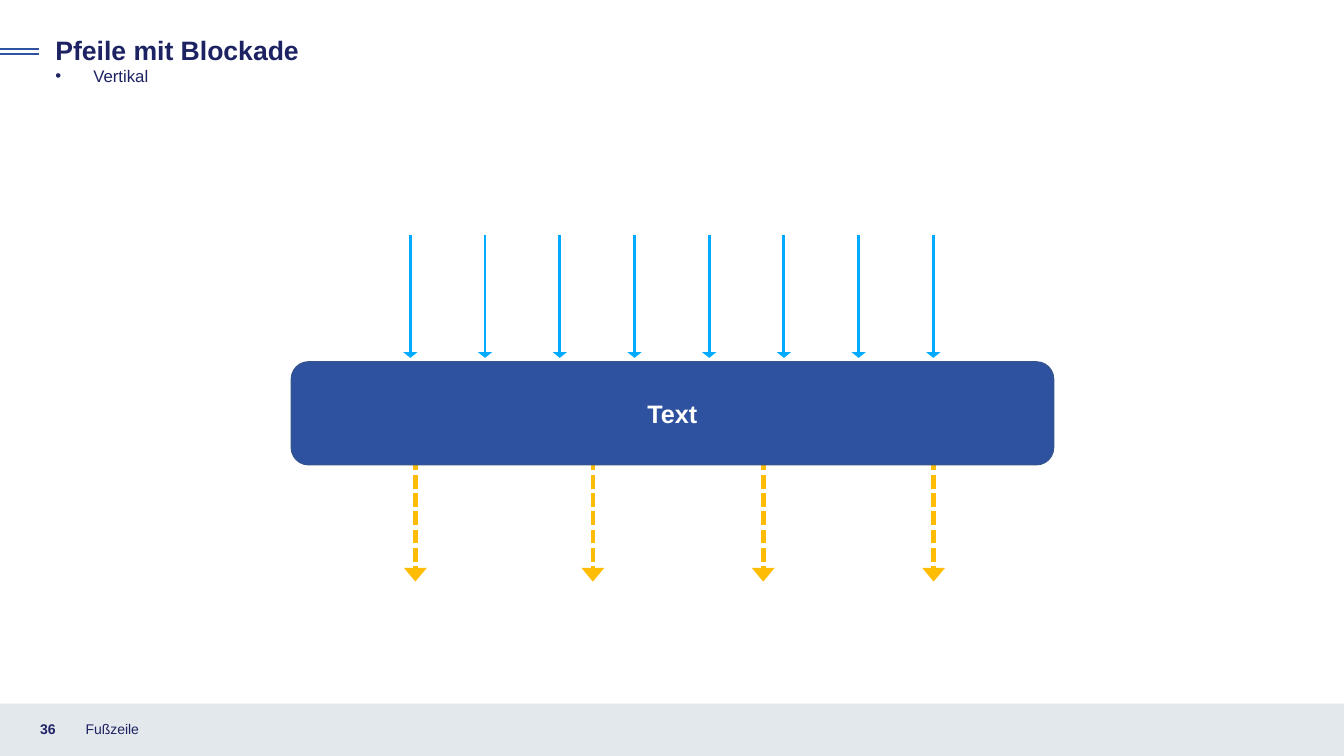
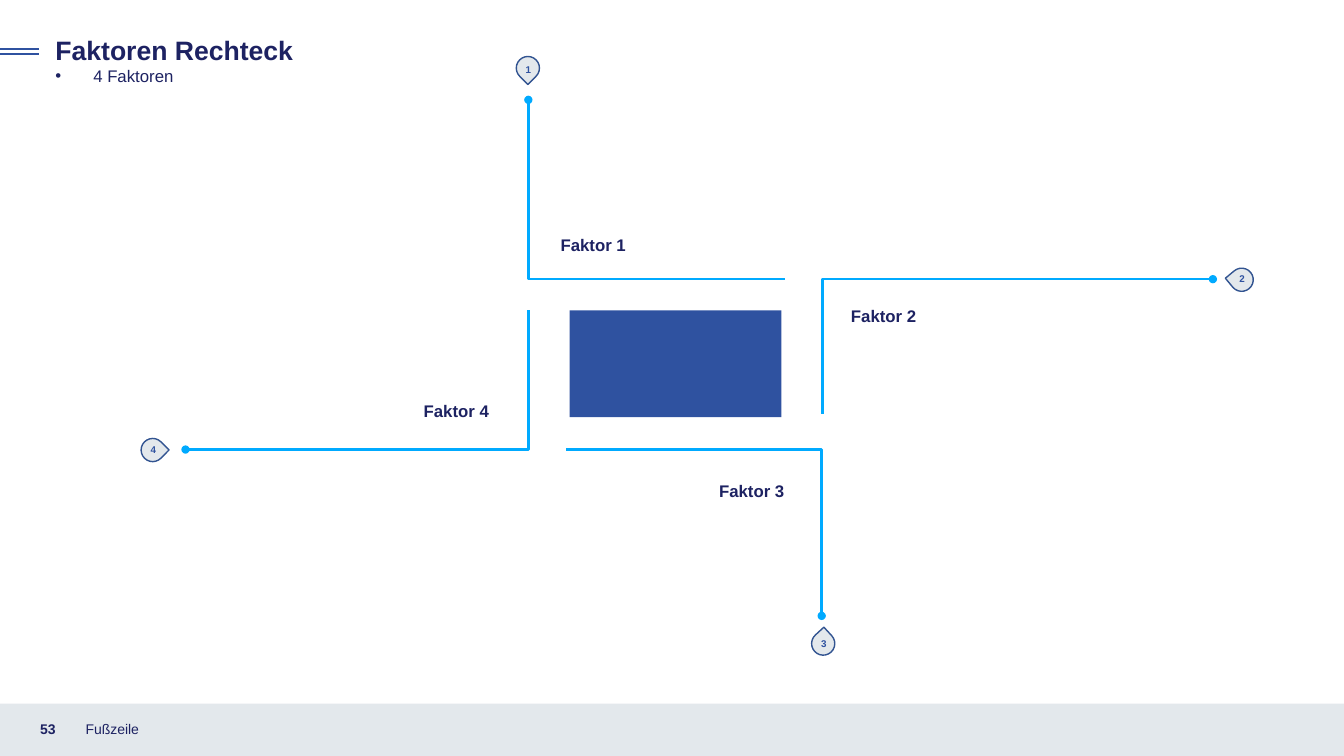
import pptx
import pptx.dml.color
import pptx.enum.dml
import pptx.enum.shapes
import pptx.enum.text
import pptx.oxml.ns
import pptx.util
from lxml import etree

COLUMNS, ROWS = 133.3, 75
NAVY, BLUE, EDGE = "1D2262", "2F52A0", "325491"
SKY, AMBER, MIST, WHITE = "00AAFF", "FFBC04", "E3E8EC", "FFFFFF"
SHAPE = pptx.enum.shapes.MSO_SHAPE
ALIGN = pptx.enum.text.PP_ALIGN
ANCHOR = pptx.enum.text.MSO_ANCHOR


def rgb(value):
    """Turn a hex string into a colour."""
    return pptx.dml.color.RGBColor.from_string(value)


def add_xml(parent, tag, **attributes):
    """Append a drawing element to its parent."""
    return etree.SubElement(parent, pptx.oxml.ns.qn(tag), **attributes)


class Deck:
    """Hold the house style and the slide being drawn."""

    def __init__(self):
        """Open an empty widescreen presentation."""
        self.presentation = pptx.Presentation()
        self.presentation.slide_width = pptx.util.Inches(13.33)
        self.presentation.slide_height = pptx.util.Inches(7.5)
        self.slide = None

    def x(self, columns):
        """Convert grid columns to a length."""
        return round(self.presentation.slide_width * columns / COLUMNS)

    def y(self, rows):
        """Convert grid rows to a length."""
        return round(self.presentation.slide_height * rows / ROWS)

    def area(self, left, top, width, height):
        """Convert a grid area to slide lengths."""
        return self.x(left), self.y(top), self.x(width), self.y(height)

    def new_slide(self, title, subtitle, number):
        """Start a slide with its heading, rules and footer band."""
        layout = self.presentation.slide_layouts[1]
        self.slide = self.presentation.slides.add_slide(layout)
        heading, subheading = self.slide.placeholders
        self.place(heading, (4.5, 2.9, 77.2, 4.2))
        self.set_text(heading, title, 19, bold=True)
        self.place(subheading, (4.5, 6, 34.6, 3))
        self.set_text(subheading, subtitle, 12)
        for rule in (4.9, 5.4):
            self.line((0, rule), (3.9, rule), BLUE, 1.5)
        self.shape(SHAPE.RECTANGLE, (0, 69.8, COLUMNS, 5.2), MIST)
        self.text((3, 70.3, 4.5, 4), str(number), 10, bold=True, anchor=ANCHOR.MIDDLE)
        self.text((7.5, 70.3, 45, 4), "Fußzeile", 10, anchor=ANCHOR.MIDDLE)

    def place(self, placeholder, area):
        """Move a placeholder and clear its bullet."""
        placeholder.left, placeholder.top, placeholder.width, placeholder.height = self.area(*area)
        properties = placeholder.text_frame.paragraphs[0]._p.get_or_add_pPr()
        properties.set("marL", "0")
        properties.set("indent", "0")
        add_xml(properties, "a:buNone")

    def set_text(self, holder, words, size, color=NAVY, bold=False,
                 align=ALIGN.LEFT, anchor=ANCHOR.TOP, wrap=True):
        """Fill a text holder in the house font."""
        frame = holder.text_frame
        frame.text = words
        frame.word_wrap = wrap
        frame.auto_size = pptx.enum.text.MSO_AUTO_SIZE.NONE
        frame.vertical_anchor = anchor
        paragraph = frame.paragraphs[0]
        paragraph.alignment = align
        paragraph.space_before = pptx.util.Pt(0)
        font = paragraph.runs[0].font
        font.name, font.size, font.bold = "Arial", pptx.util.Pt(size), bold
        font.color.rgb = rgb(color)

    def text(self, area, words, size, inset=True, **style):
        """Add a text box, with or without inner margins."""
        box = self.slide.shapes.add_textbox(*self.area(*area))
        if not inset:
            frame = box.text_frame
            frame.margin_left = frame.margin_right = 0
            frame.margin_top = frame.margin_bottom = 0
        self.set_text(box, words, size, **style)

    def shape(self, preset, area, fill, edge=None, turn=0):
        """Add a flat preset shape."""
        figure = self.slide.shapes.add_shape(preset, *self.area(*area))
        figure.shadow.inherit = False
        figure.fill.solid()
        figure.fill.fore_color.rgb = rgb(fill)
        figure.rotation = turn
        if edge:
            self.stroke(figure, edge, 1)
        else:
            figure.line.fill.background()
        return figure

    def stroke(self, figure, color, weight):
        """Set the outline colour and weight."""
        figure.line.color.rgb = rgb(color)
        figure.line.width = pptx.util.Pt(weight)

    def line(self, start, end, color, weight, dashed=False, head_length=None):
        """Add a straight line, with an arrowhead if a length is given."""
        stroke = self.slide.shapes.add_connector(
            pptx.enum.shapes.MSO_CONNECTOR.STRAIGHT,
            self.x(start[0]), self.y(start[1]), self.x(end[0]), self.y(end[1]))
        self.stroke(stroke, color, weight)
        if dashed:
            stroke.line.dash_style = pptx.enum.dml.MSO_LINE.SQUARE_DOT
            stroke.line._get_or_add_ln().find(pptx.oxml.ns.qn("a:prstDash")).set("val", "sysDash")
        if head_length:
            add_xml(stroke.line._get_or_add_ln(), "a:tailEnd",
                    type="triangle", w="lg", len=head_length)
        add_xml(stroke._element.spPr, "a:effectLst")

    def bracket(self, points):
        """Add an open angled line that starts with a dot."""
        start, *corners = [(self.x(column), self.y(row)) for column, row in points]
        builder = self.slide.shapes.build_freeform(*start)
        builder.add_line_segments(corners, close=False)
        outline = builder.convert_to_shape()
        outline.shadow.inherit = False
        outline.fill.background()
        self.stroke(outline, SKY, 1.75)
        add_xml(outline.line._get_or_add_ln(), "a:headEnd", type="oval")

    def pin(self, left, top, turn, number, drop):
        """Add a numbered teardrop pin."""
        self.shape(SHAPE.TEAR, (left, top, 2.3, 2.3), MIST, EDGE, turn)
        self.text((left - 0.1, top + drop, 2.6, 2.2), str(number), 7, color=BLUE,
                  bold=True, align=ALIGN.CENTER, wrap=False)


def draw_blockade(deck):
    """Draw arrows stopped by a block."""
    deck.new_slide("Pfeile mit Blockade", "Vertikal", 36)
    for passing in (41.2, 58.8, 75.7, 92.6):
        deck.line((passing, 45.3), (passing, 57.7), AMBER, 3.25, True, "med")
    for index in range(8):
        incoming = 40.7 + 7.41 * index
        deck.line((incoming, 23.3), (incoming, 35.5), SKY, 2, head_length="sm")
    blockade = deck.shape(SHAPE.ROUNDED_RECTANGLE, (28.9, 35.9, 75.6, 10.2), BLUE, EDGE)
    deck.set_text(blockade, "Text", 18, WHITE, True, ALIGN.CENTER, ANCHOR.MIDDLE)


def draw_factors(deck):
    """Draw four factors around a rectangle."""
    deck.new_slide("Faktoren Rechteck", "4 Faktoren", 53)
    deck.shape(SHAPE.RECTANGLE, (56.5, 30.8, 21, 10.6), BLUE)
    factors = [
        ([(52.4, 9.9), (52.4, 27.7), (77.9, 27.7)], (55.6, 23.3), ALIGN.LEFT, (51.2, 5.6, 135), 0.2),
        ([(120.3, 27.7), (81.6, 27.7), (81.6, 41.1)], (84.4, 30.3), ALIGN.LEFT, (122, 26.6, 230.3), 0),
        ([(81.5, 61.1), (81.5, 44.6), (56.1, 44.6)], (61.3, 47.7), ALIGN.RIGHT, (80.5, 62.7, 317.3), 0.1),
        ([(18.4, 44.6), (52.4, 44.6), (52.4, 30.8)], (32, 39.8), ALIGN.RIGHT, (14, 43.5, 44.5), 0),
    ]
    for number, (points, label, align, pin, drop) in enumerate(factors, 1):
        deck.bracket(points)
        deck.text((*label, 16.5, 2), f"Faktor {number}", 12, inset=False, bold=True,
                  align=align, anchor=ANCHOR.MIDDLE)
        deck.pin(*pin, number, drop)


def main():
    """Build and save both slides."""
    deck = Deck()
    draw_blockade(deck)
    draw_factors(deck)
    deck.presentation.save("out.pptx")


if __name__ == "__main__":
    main()
